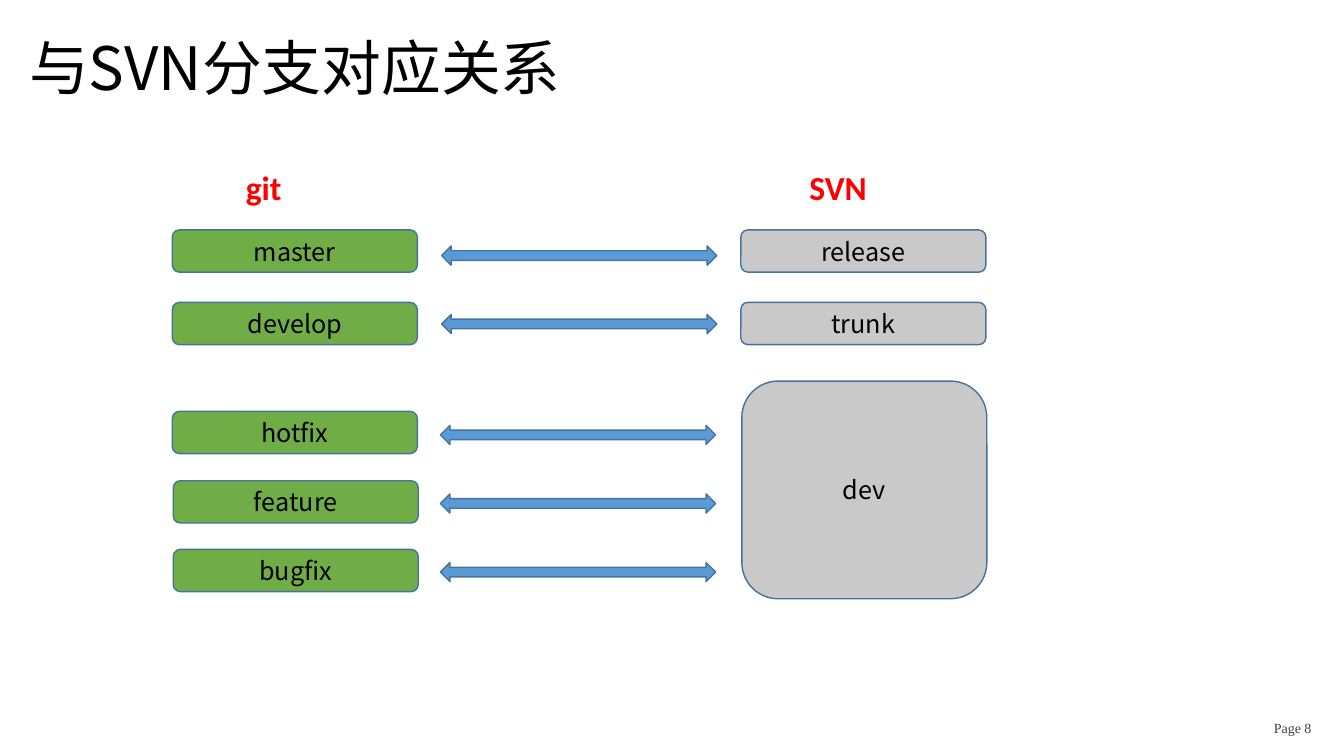
from dataclasses import dataclass

from lxml.etree import SubElement
from pptx import Presentation
from pptx.dml.color import RGBColor
from pptx.enum.shapes import MSO_SHAPE as Preset
from pptx.enum.text import MSO_ANCHOR as Anchor, PP_ALIGN as Align
from pptx.oxml.ns import qn
from pptx.util import Pt


@dataclass(frozen=True)
class Theme:
    git: str = "70AD47"
    svn: str = "C9C9C9"
    arrow: str = "5B9BD5"
    outline: str = "43739E"
    text: str = "000000"
    heading: str = "FF0000"
    footer: str = "404040"
    body_font: str = "Noto Sans CJK SC"
    heading_font: str = "Calibri"
    footer_font: str = "Times New Roman"
    title_size: float = 42.7
    heading_size: float = 24
    label_size: float = 18
    footer_size: float = 10


THEME = Theme()
BRANCH_WIDTH, BRANCH_HEIGHT = 175, 30.2
ARROW_WIDTH, ARROW_HEIGHT = 196.6, 13.7
SVN_LEFT = 529.2

GIT_BRANCHES = [
    ("master", 123.1, 164.2),
    ("develop", 123.1, 216),
    ("hotfix", 123.1, 293.8),
    ("feature", 123.8, 343.4),
    ("bugfix", 123.8, 392.4),
]
SVN_BRANCHES = [
    ("release", SVN_LEFT, 164.2, BRANCH_HEIGHT),
    ("trunk", SVN_LEFT, 216, BRANCH_HEIGHT),
    ("dev", SVN_LEFT + 0.7, 272.2, 155.5),
]
ARROWS = [(315.4, 175.7), (315.4, 224.6), (314.6, 303.8), (314.6, 352.8), (314.6, 401.8)]


def write(frame, text, size=THEME.label_size, font=THEME.body_font, color=THEME.text,
          bold=False, align=Align.LEFT, anchor=Anchor.TOP, wrap=True,
          inset=(7.2, 3.6), indent=0, line_spacing=1.0):
    frame.word_wrap = wrap
    frame.vertical_anchor = anchor
    frame.margin_left = frame.margin_right = Pt(inset[0])
    frame.margin_top = frame.margin_bottom = Pt(inset[1])
    paragraph = frame.paragraphs[0]
    paragraph.alignment = align
    paragraph.line_spacing = line_spacing
    if indent:
        paragraph._p.get_or_add_pPr().set("marL", str(Pt(indent)))
    run = paragraph.add_run()
    run.text = text
    run.font.size = Pt(size)
    run.font.name = font
    run.font.bold = bold
    run.font.color.rgb = RGBColor.from_string(color)
    SubElement(run._r.get_or_add_rPr(), qn("a:ea")).set("typeface", font)


def add_text(slide, text, left, top, width, height, **style):
    box = slide.shapes.add_textbox(Pt(left), Pt(top), Pt(width), Pt(height))
    write(box.text_frame, text, **style)


def add_block(slide, preset, left, top, width, height, fill):
    block = slide.shapes.add_shape(preset, Pt(left), Pt(top), Pt(width), Pt(height))
    block.shadow.inherit = False
    block.fill.solid()
    block.fill.fore_color.rgb = RGBColor.from_string(fill)
    block.line.color.rgb = RGBColor.from_string(THEME.outline)
    block.line.width = Pt(1)
    return block


def add_branch(slide, name, left, top, height, fill):
    branch = add_block(slide, Preset.ROUNDED_RECTANGLE, left, top, BRANCH_WIDTH, height, fill)
    write(branch.text_frame, name, align=Align.CENTER, anchor=Anchor.MIDDLE)


def add_heading(slide, text, left, width):
    add_text(slide, text, left, 115.9, width, 36, size=THEME.heading_size,
             font=THEME.heading_font, color=THEME.heading, bold=True, wrap=False)


def main():
    deck = Presentation()
    deck.slide_width, deck.slide_height = Pt(960), Pt(540)
    slide = deck.slides.add_slide(deck.slide_layouts[6])

    add_text(slide, "Page 8", 902.9, 510.5, 57.1, 20.9, size=THEME.footer_size,
             font=THEME.footer_font, color=THEME.footer)
    add_text(slide, "与SVN分支对应关系", 0, 21.6, 960, 58.3, size=THEME.title_size,
             anchor=Anchor.MIDDLE, inset=(5.76, 2.88), indent=15, line_spacing=0.9)

    for name, left, top in GIT_BRANCHES:
        add_branch(slide, name, left, top, BRANCH_HEIGHT, THEME.git)
    for name, left, top, height in SVN_BRANCHES:
        add_branch(slide, name, left, top, height, THEME.svn)

    add_heading(slide, "git", 168.5, 40.3)
    add_heading(slide, "SVN", 571, 56.2)

    for left, top in ARROWS:
        add_block(slide, Preset.LEFT_RIGHT_ARROW, left, top, ARROW_WIDTH, ARROW_HEIGHT,
                  THEME.arrow)

    deck.save("out.pptx")


if __name__ == "__main__":
    main()
